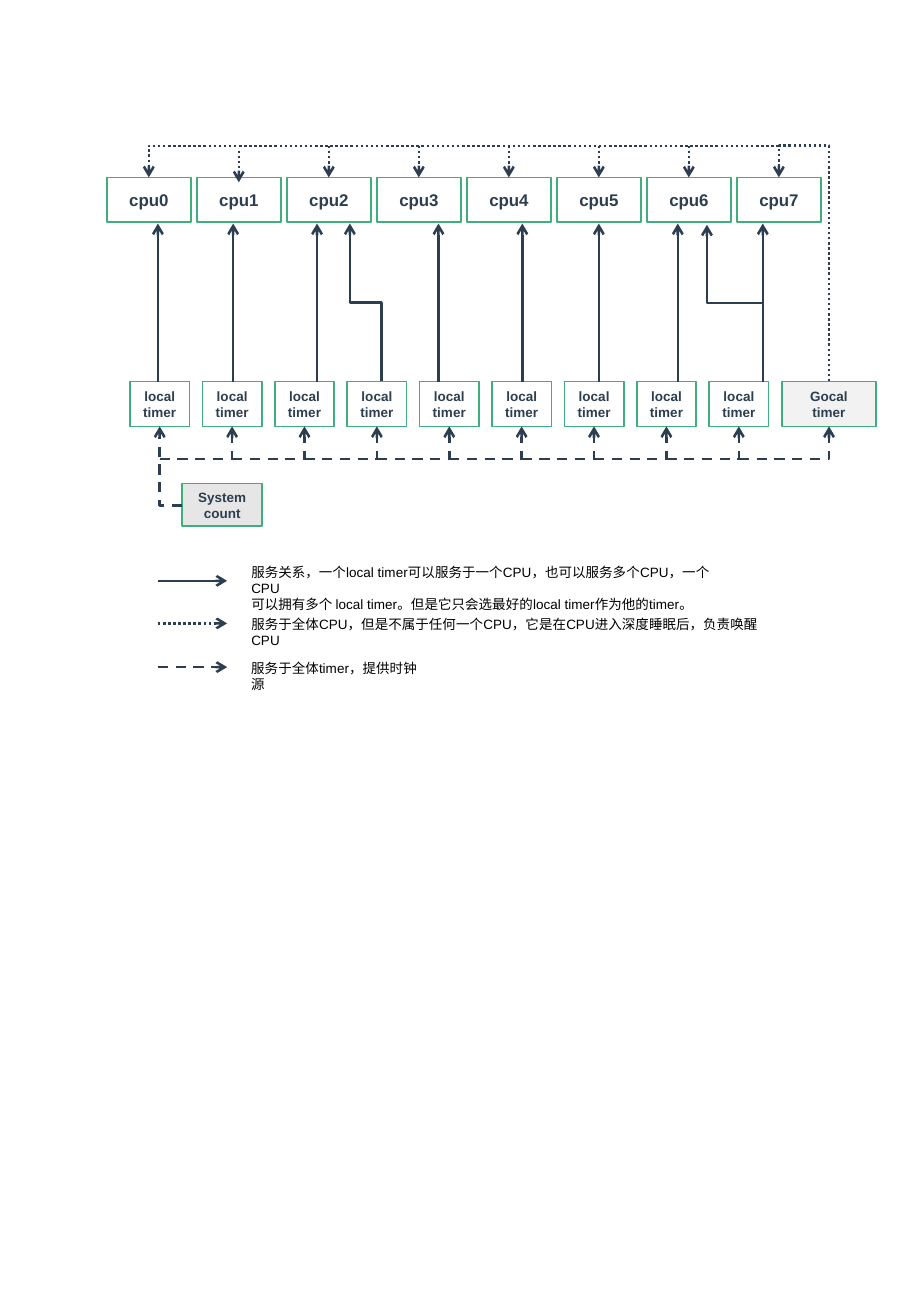
"""Build the slide that shows how timers serve the CPUs."""
import lxml.etree
import pptx
import pptx.util
import pptx.oxml.ns
import pptx.dml.color
import pptx.enum.dml
import pptx.enum.shapes
import pptx.enum.text

PX = 9144
WIDE, HIGH = 750, 1083
HUES = {"ink": "2C3E50", "edge": "3EAF7C", "count": "E7E6E6",
        "global": "F2F2F2", "text": "000000"}
FONT = "Arial"

CPUS = [f"cpu{i}" for i in range(8)]
LOCALS = ["local timer"] * 9
GLOBAL = ("Gocal timer", 644, 314, 77, 37)
COUNT = ("System count", 150, 398, 66, 35)
SERVE = [130, 192, 261, 361, 430, 493, 628, 558]
SHARE = [((628, 314), (582, 185)), ((314, 314), (288, 184))]
DROPS = [4, 0, 0, 0, 0, 0]
LEGEND = [
    (478, None, 459, 419, 37,
     ["服务关系，一个local timer可以服务于一个CPU，也可以服务多个CPU，一个CPU",
      "可以拥有多个 local timer。但是它只会选最好的local timer作为他的timer。"]),
    (513, "dot", 502, 459, 23,
     ["服务于全体CPU，但是不属于任何一个CPU，它是在CPU进入深度睡眠后，负责唤醒CPU"]),
    (549, "dash", 538, 167, 23, ["服务于全体timer，提供时钟源"]),
]
CPU_X, CPU_Y, CPU_W, CPU_STEP = 88, 146, 69, 74.1
LOC_X, LOC_Y, LOC_W, LOC_STEP = 107, 314, 49, 59.6
BOX_H = 37
BUS_Y, WAKE_Y = 378, 120

DASHES = {"dot": pptx.enum.dml.MSO_LINE.ROUND_DOT,
          "dash": pptx.enum.dml.MSO_LINE.DASH}
KINDS = pptx.enum.shapes.MSO_CONNECTOR
qn = pptx.oxml.ns.qn

deck = pptx.Presentation()
deck.slide_width, deck.slide_height = WIDE * PX, HIGH * PX
slide = deck.slides.add_slide(deck.slide_layouts[6])
shapes = slide.shapes


def emu(*spots):
    return [round(spot * PX) for spot in spots]


def paint(name):
    return pptx.dml.color.RGBColor.from_string(HUES[name])


def add(owner, tag, **marks):
    return lxml.etree.SubElement(owner, qn(tag), **marks)


def write(frame, lines, size=8, bold=False, hue="ink", align="LEFT", anchor="TOP"):
    frame.word_wrap = True
    frame.auto_size = pptx.enum.text.MSO_AUTO_SIZE.NONE
    frame.vertical_anchor = getattr(pptx.enum.text.MSO_ANCHOR, anchor)
    for i, line in enumerate(lines):
        para = frame.add_paragraph() if i else frame.paragraphs[0]
        para.alignment = getattr(pptx.enum.text.PP_ALIGN, align)
        run = para.add_run()
        run.text = line
        run.font.name, run.font.bold = FONT, bold
        run.font.size = pptx.util.Pt(size)
        run.font.color.rgb = paint(hue)


def box(label, x, y, w, h, size=8, fill=None):
    kind = pptx.enum.shapes.MSO_SHAPE.RECTANGLE
    rect = shapes.add_shape(kind, *emu(x, y, w, h))
    rect.shadow.inherit = False
    if fill:
        rect.fill.solid()
        rect.fill.fore_color.rgb = paint(fill)
    else:
        rect.fill.background()
    rect.line.color.rgb = paint("edge")
    rect.line.width = pptx.util.Pt(1)
    write(rect.text_frame, [label], size=size, bold=True,
          align="CENTER", anchor="MIDDLE")


def arrow(start, end, dash=None, kind=KINDS.STRAIGHT):
    link = shapes.add_connector(kind, *emu(*start, *end))
    link.line.color.rgb = paint("ink")
    link.line.width = pptx.util.Pt(1.5)
    if dash:
        link.line.dash_style = DASHES[dash]
    props = link.element.spPr
    add(props.find(qn("a:ln")), "a:tailEnd", type="arrow")
    add(props, "a:effectLst")
    return props


def corner(start, end, dash):
    """Go sideways, then turn once."""
    props = arrow(start, end, dash, KINDS.ELBOW)
    props.find(qn("a:prstGeom")).set("prst", "bentConnector2")


def riser(start, end, dash=None, bend=50000):
    """Go up, sideways and on to the end."""
    (x, y), (tox, toy) = start, end
    midx, midy = (x + tox) / 2, (y + toy) / 2
    run, side = (y - toy) / 2, (tox - x) / 2
    props = arrow((midx - run, midy - side), (midx + run, midy + side),
                  dash, KINDS.ELBOW)
    props.find(qn("a:xfrm")).set("rot", "16200000")
    geom = props.find(qn("a:prstGeom"))
    for old in geom.findall(qn("a:avLst")):
        geom.remove(old)
    add(add(geom, "a:avLst"), "a:gd", name="adj1", fmla=f"val {bend}")


def main():
    for i, name in enumerate(CPUS):
        box(name, CPU_X + i * CPU_STEP, CPU_Y, CPU_W, BOX_H, size=10)
    box(*COUNT, fill="count")
    for i, name in enumerate(LOCALS):
        box(name, LOC_X + i * LOC_STEP, LOC_Y, LOC_W, BOX_H)
    box(*GLOBAL, fill="global")

    foot = LOC_Y + BOX_H
    stops = [LOC_X + LOC_W / 2 + i * LOC_STEP for i in range(len(LOCALS))]
    stops.append(GLOBAL[1] + GLOBAL[3] / 2)
    corner((COUNT[1], 416), (stops[0], foot), "dash")
    for last, stop in zip(stops, stops[1:]):
        corner((last, BUS_Y), (stop, foot), "dash")

    for x in SERVE:
        arrow((x, LOC_Y), (x, 184))
    for start, end in SHARE:
        riser(start, end)

    heads = [CPU_X + CPU_W / 2 + i * CPU_STEP for i in range(len(CPUS))]
    riser((stops[-1], LOC_Y), (heads[-1], CPU_Y), "dot", 115500)
    corner((heads[-1], WAKE_Y), (heads[0], CPU_Y), "dot")
    for x, drop in zip(heads[1:], DROPS):
        arrow((x, WAKE_Y + drop), (x, CPU_Y + drop), "dot")

    for y, dash, top, w, h, lines in LEGEND:
        arrow((130, y), (187, y), dash)
        note = shapes.add_textbox(*emu(197, top, w, h))
        write(note.text_frame, lines, hue="text")
    deck.save("out.pptx")


if __name__ == "__main__":
    main()
